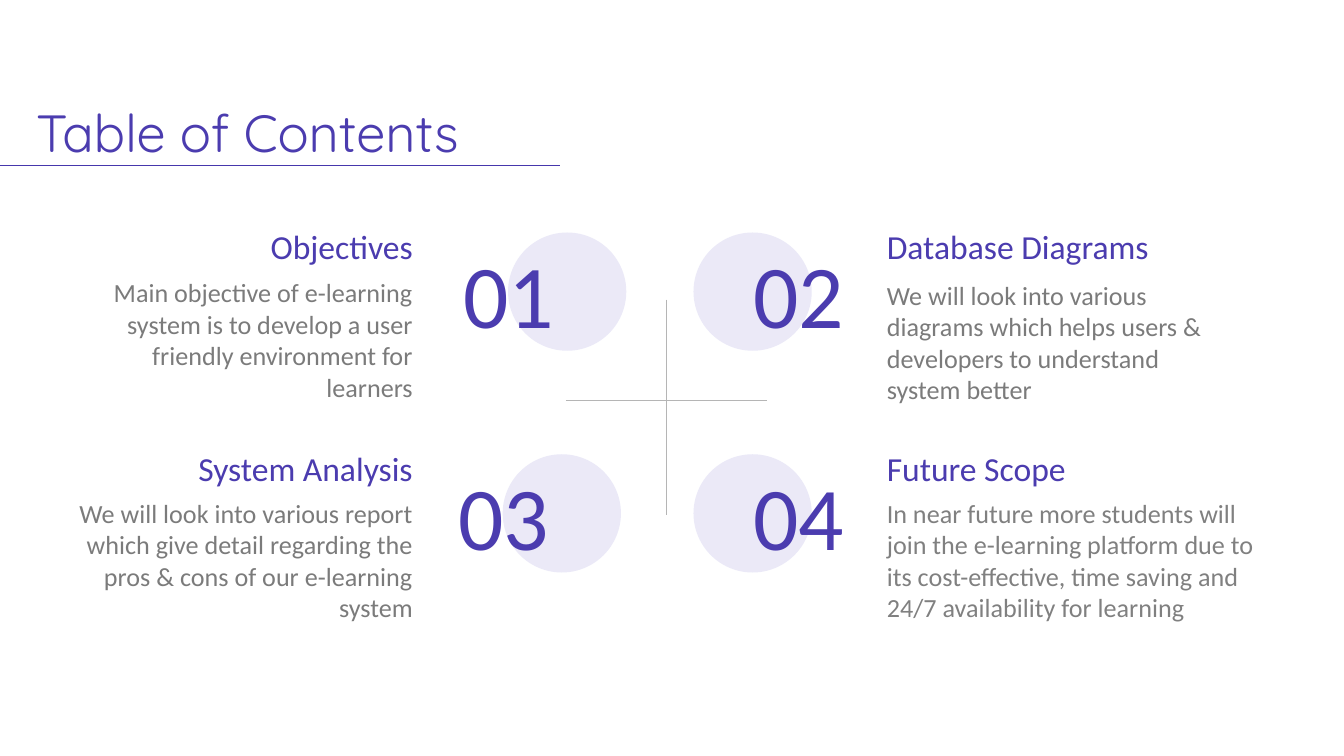
from lxml import etree
from pptx import Presentation
from pptx.dml.color import RGBColor
from pptx.enum.shapes import MSO_CONNECTOR, MSO_SHAPE
from pptx.enum.text import MSO_ANCHOR, PP_ALIGN
from pptx.oxml.ns import qn
from pptx.util import Inches, Pt

LEFT, RIGHT = PP_ALIGN.LEFT, PP_ALIGN.RIGHT
TOP, MIDDLE, BOTTOM = MSO_ANCHOR.TOP, MSO_ANCHOR.MIDDLE, MSO_ANCHOR.BOTTOM
STRAIGHT = MSO_CONNECTOR.STRAIGHT
OVAL = MSO_SHAPE.OVAL
COLORS = {
    "purple": "4B3CAF",
    "lilac": "B2ABE3",
    "gray": "7B7B7B",
    "light_gray": "808080",
    "cross": "B5B5B5",
    "rule": "4637AC",
}

prs = Presentation()
prs.slide_width = Inches(10)
prs.slide_height = Inches(10 * 9 / 16)
s = prs.slides.add_slide(prs.slide_layouts[6])


def add_text(box, text, size, color, align=LEFT, anchor=TOP, font="Calibri"):
    sp = s.shapes.add_textbox(*[Inches(v) for v in box])
    tf = sp.text_frame
    tf.word_wrap = True
    tf.vertical_anchor = anchor
    tf.margin_left = tf.margin_right = Inches(0.1)
    tf.margin_top = tf.margin_bottom = Inches(0.1)
    tf.text = text
    p = tf.paragraphs[0]
    p.alignment = align
    r = p.runs[0]
    r.font.name = font
    r.font.size = Pt(size)
    r.font.color.rgb = RGBColor.from_string(COLORS[color])


def add_line(x1, y1, x2, y2, color):
    sp = s.shapes.add_connector(STRAIGHT, Inches(x1), Inches(y1), Inches(x2), Inches(y2))
    sp.line.color.rgb = RGBColor.from_string(COLORS[color])
    sp.line.width = Pt(0.75)
    etree.SubElement(sp._element.spPr, qn("a:effectLst"))


topics = [
    ("01", "Objectives",
     "Main objective of e-learning system is to develop a user friendly environment for learners",
     1.73, 3.78, 3.35, LEFT, (1.17, 2), (0.42, 1.96, 2.75, 0.77), "gray"),
    ("02", "Database Diagrams",
     "We will look into various diagrams which helps users & developers to understand system better",
     1.73, 5.16, 5.07, RIGHT, (6.5, 2.29), (6.5, 1.98, 2.79, 0.77), "gray"),
    ("03", "System Analysis",
     "We will look into various report which give detail regarding the pros & cons of our e-learning system",
     3.38, 3.74, 3.31, LEFT, (1.01, 2.16), (0.42, 3.6, 2.75, 0.96), "gray"),
    ("04", "Future Scope",
     "In near future more students will join the e-learning platform due to its cost-effective, "
     "time saving and 24/7 availability for learning",
     3.38, 5.16, 5.07, RIGHT, (6.5, 2.29), (6.5, 3.6, 3, 1.33), "light_gray"),
]

for number, heading, body, y, circle_x, number_x, number_align, (x, w), body_box, body_color in topics:
    sp = s.shapes.add_shape(OVAL, Inches(circle_x), Inches(y), Inches(0.88), Inches(0.88))
    sp.shadow.inherit = False
    sp.fill.solid()
    sp.fill.fore_color.rgb = RGBColor.from_string(COLORS["lilac"])
    color = sp._element.spPr.find(qn("a:solidFill"))[0]
    etree.SubElement(color, qn("a:alpha")).set("val", "26000")
    sp.line.fill.background()

    text_align = RIGHT if number_align == LEFT else LEFT
    add_text((number_x, y + 0.04, 1.31, 0.82), number, 48, "purple", number_align, MIDDLE)
    add_text((x, y - 0.09, w, 0.44), heading, 18, "purple", text_align, BOTTOM)
    add_text(body_box, body, 14, body_color, text_align)

add_line(4.21, 2.98, 5.71, 2.98, "cross")
add_line(4.96, 2.23, 4.96, 3.83, "cross")

add_text((0.17, 0.48, 5.16, 0.83), "Table of Contents", 28, "purple", anchor=BOTTOM, font="Quicksand")
add_line(0, 1.23, 4.17, 1.23, "rule")

prs.save("out.pptx")
